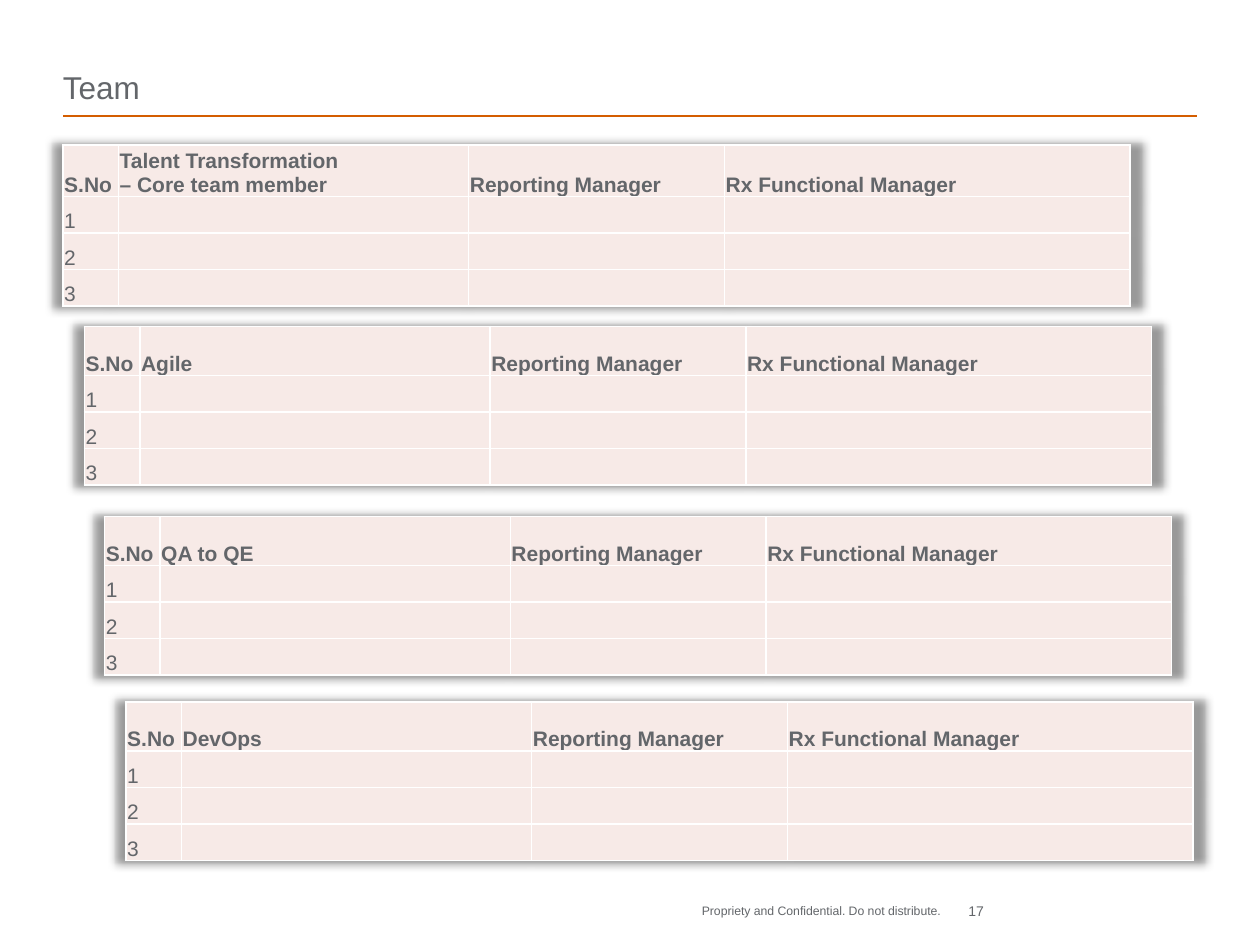
from typing import NamedTuple

from lxml import etree
from pptx import Presentation
from pptx import util as u
from pptx.dml.color import RGBColor
from pptx.enum import shapes, text
from pptx.oxml import ns

FONT, GREY, ORANGE, WHITE, PINK = "Arial", "63666A", "D45D00", "FFFFFF", "F7EAE7"
COLUMN_WIDTHS = (0.44, 2.78, 2.03, 3.22)
ROW_HEIGHTS = (0.39, 0.29, 0.29, 0.29)
BODY_SIZE = 12


class Team(NamedTuple):
    heading: str
    left: float
    top: float


class Label(NamedTuple):
    words: str
    left: float
    top: float
    width: float
    height: float
    size: float
    align: text.PP_ALIGN = text.PP_ALIGN.LEFT
    anchor: text.MSO_ANCHOR = text.MSO_ANCHOR.TOP
    wrap: bool = True


TEAMS = (
    Team("Talent Transformation\n– Core team member", 0.5, 1.15),
    Team("Agile", 0.67, 2.59),
    Team("QA to QE", 0.83, 4.1),
    Team("DevOps", 1, 5.57),
)
LABELS = (
    Label("Propriety and Confidential. Do not distribute.",
          5.57, 7.17, 2.08, 0.25, 7, wrap=False),
    Label("Team", 0.5, 0.17, 9, 0.67, 18, anchor=text.MSO_ANCHOR.BOTTOM),
    Label("17", 7.48, 7.16, 0.33, 0.17, 8, align=text.PP_ALIGN.RIGHT),
)


def colour(value: str) -> RGBColor:
    return RGBColor.from_string(value)


def add_element(parent, tag: str, **attributes: str):
    return etree.SubElement(parent, ns.qn(tag), attributes)


def style_paragraph(para, size: float, align, bold: bool = False) -> None:
    para.alignment = align
    font = para.font
    font.name, font.size, font.bold = FONT, u.Pt(size), bold
    font.color.rgb = colour(GREY)


def add_label(page, label: Label) -> None:
    box = page.shapes.add_textbox(*map(u.Inches, label[1:5]))
    frame = box.text_frame
    frame.margin_left = frame.margin_right = frame.margin_top = frame.margin_bottom = 0
    frame.word_wrap = label.wrap
    frame.vertical_anchor = label.anchor
    frame.text = label.words
    style_paragraph(frame.paragraphs[0], label.size, label.align)


def add_rule(page) -> None:
    rule = page.shapes.add_connector(
        shapes.MSO_CONNECTOR.STRAIGHT,
        u.Inches(0.5), u.Inches(0.92), u.Inches(9.5), u.Inches(0.92))
    rule.line.color.rgb = colour(ORANGE)
    rule.line.width = u.Pt(1)
    add_element(rule._element.spPr, "a:effectLst")


def add_borders(cell) -> None:
    properties = cell._tc.get_or_add_tcPr()
    for side in ("a:lnL", "a:lnR", "a:lnT", "a:lnB"):
        line = add_element(properties, side, w=str(u.Pt(1)))
        add_element(add_element(line, "a:solidFill"), "a:srgbClr", val=WHITE)


def add_shadow(table) -> None:
    """Spread a soft shadow evenly around the table."""
    effects = add_element(table._tbl.tblPr, "a:effectLst")
    shadow = add_element(effects, "a:outerShdw", blurRad="63500", sx="102000",
                         sy="102000", algn="ctr", rotWithShape="0")
    add_element(add_element(shadow, "a:prstClr", val="black"), "a:alpha", val="40000")
    # The table style reference has to follow the effects.
    style = table._tbl.tblPr.find(ns.qn("a:tableStyleId"))
    if style is not None:
        table._tbl.tblPr.append(style)


def fill_cell(cell, words: str, bold: bool) -> None:
    add_borders(cell)
    cell.fill.solid()
    cell.fill.fore_color.rgb = colour(PINK)
    cell.margin_left = cell.margin_right = cell.margin_top = u.Inches(0.01)
    cell.margin_bottom = 0
    cell.vertical_anchor = text.MSO_ANCHOR.BOTTOM
    if words:
        cell.text = words
    for para in cell.text_frame.paragraphs:
        style_paragraph(para, BODY_SIZE, text.PP_ALIGN.JUSTIFY, bold)
        if not words:
            add_element(para._p, "a:endParaRPr", sz=str(BODY_SIZE * 100))


def add_team_table(page, team: Team) -> None:
    rows = [("S.No", team.heading, "Reporting Manager", "Rx Functional Manager")]
    rows += [(str(number), "", "", "") for number in range(1, len(ROW_HEIGHTS))]
    table = page.shapes.add_table(
        len(ROW_HEIGHTS), len(COLUMN_WIDTHS), u.Inches(team.left), u.Inches(team.top),
        u.Inches(sum(COLUMN_WIDTHS)), u.Inches(sum(ROW_HEIGHTS))).table
    table.first_row = table.horz_banding = False
    add_shadow(table)
    for column, width in zip(table.columns, COLUMN_WIDTHS):
        column.width = u.Inches(width)
    for index, (row, height) in enumerate(zip(table.rows, ROW_HEIGHTS)):
        row.height = u.Inches(height)
        for cell, words in zip(row.cells, rows[index]):
            fill_cell(cell, words, bold=index == 0)


def main() -> None:
    deck = Presentation()
    deck.slide_width, deck.slide_height = u.Inches(10), u.Inches(7.5)
    page = deck.slides.add_slide(deck.slide_layouts[6])
    add_rule(page)
    for label in LABELS:
        add_label(page, label)
    for team in TEAMS:
        add_team_table(page, team)
    deck.save("out.pptx")


if __name__ == "__main__":
    main()
